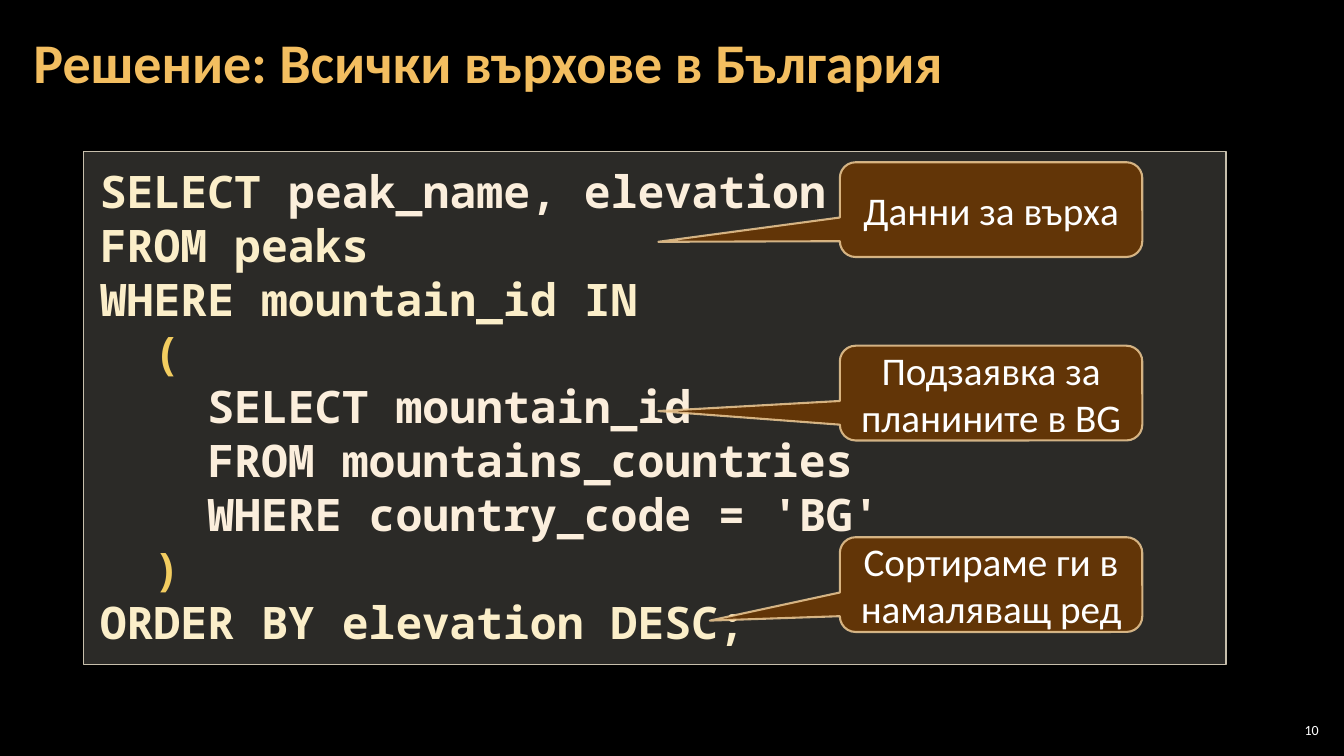
from dataclasses import dataclass

from lxml import etree
from pptx import Presentation
from pptx import util as u
from pptx.dml.color import RGBColor
from pptx.enum import shapes, text
from pptx.oxml import ns


@dataclass(frozen=True)
class Theme:
    """Colours, fonts and type sizes of the slide."""
    background: str = "000000"
    title: str = "F3BE60"
    white: str = "FFFFFF"
    panel: str = "D9D5C7"
    panel_line: str = "C7BFAC"
    callout: str = "663606"
    callout_line: str = "F8D49E"
    outer_code: str = "FBEEC9"
    inner_code: str = "FBEEDC"
    bracket: str = "F3CD60"
    body_font: str = "Calibri"
    code_font: str = "Noto Sans Mono"
    title_size: int = 40
    code_size: int = 32
    code_pitch: float = 38.5
    callout_size: int = 28
    number_size: int = 10


THEME = Theme()

CODE_LINES = [
    [("SELECT ", THEME.outer_code), ("peak_name, elevation", THEME.inner_code)],
    [("FROM peaks", THEME.outer_code)],
    [("WHERE mountain_id IN", THEME.outer_code)],
    [("  (", THEME.bracket)],
    [("    SELECT mountain_id", THEME.inner_code)],
    [("    FROM mountains_countries", THEME.inner_code)],
    [("    WHERE country_code = 'BG'", THEME.inner_code)],
    [("  )", THEME.bracket)],
    [("ORDER BY elevation DESC;", THEME.outer_code)],
]

CALLOUTS = [
    ("Подзаявка за планините в BG", 3.43, (-1.1, 0.19)),
    ("Данни за върха", 1.61, (-1.1, 0.34)),
    ("Сортираме ги в намаляващ ред", 5.33, (-0.93, 0.38)),
]


def set_alpha(color_format, percent):
    """Make a solid colour partly transparent."""
    color = color_format._xFill.find(ns.qn("a:srgbClr"))
    etree.SubElement(color, ns.qn("a:alpha"), val=str(percent * 1000))


def paint(shape, fill, fill_alpha, line, width, line_alpha=100):
    """Give a shape its fill and outline, without a shadow."""
    shape.shadow.inherit = False
    for target, color, alpha in ((shape.fill, fill, fill_alpha),
                                 (shape.line.fill, line, line_alpha)):
        target.solid()
        target.fore_color.rgb = RGBColor.from_string(color)
        if alpha < 100:
            set_alpha(target._fill, alpha) if hasattr(target._fill, "_xFill") else \
                etree.SubElement(target._xPr.find(".//" + ns.qn("a:srgbClr")),
                                 ns.qn("a:alpha"), val=str(alpha * 1000))
    shape.line.width = u.Pt(width)


def write(shape, lines, *, size, font=THEME.body_font, bold=False,
          align=text.PP_ALIGN.LEFT, anchor=text.MSO_ANCHOR.MIDDLE,
          insets=(0.1, 0.05), spacing=None):
    """Fill a shape with lines, each a list of (words, colour) runs."""
    frame = shape.text_frame
    frame.word_wrap = True
    frame.vertical_anchor = anchor
    frame.margin_left = frame.margin_right = u.Inches(insets[0])
    frame.margin_top = frame.margin_bottom = u.Inches(insets[1])
    for index, runs in enumerate(lines):
        paragraph = frame.add_paragraph() if index else frame.paragraphs[0]
        paragraph.alignment = align
        paragraph.line_spacing = spacing
        for words, color in runs:
            run = paragraph.add_run()
            run.text = words
            run.font.name = font
            run.font.size = u.Pt(size)
            run.font.bold = bold
            run.font.color.rgb = RGBColor.from_string(color)


def add_title(slide, box):
    """Place the slide title."""
    title = slide.shapes.add_textbox(*map(u.Inches, box))
    write(title, [[("Решение: Всички върхове в България", THEME.title)]],
          size=THEME.title_size, bold=True, insets=(0.12, 0.04), spacing=0.9)


def add_code_panel(slide, box):
    """Place the query on its translucent panel."""
    panel = slide.shapes.add_shape(shapes.MSO_SHAPE.RECTANGLE, *map(u.Inches, box))
    paint(panel, THEME.panel, 20, THEME.panel_line, 1)
    write(panel, CODE_LINES, size=THEME.code_size, font=THEME.code_font, bold=True,
          anchor=text.MSO_ANCHOR.TOP, insets=(0.16, 0.12),
          spacing=u.Pt(THEME.code_pitch))


def add_callout(slide, box, words, tip):
    """Place one speech bubble whose tip is relative to its size."""
    callout = slide.shapes.add_shape(
        shapes.MSO_SHAPE.ROUNDED_RECTANGULAR_CALLOUT, *map(u.Inches, box))
    callout.adjustments[0], callout.adjustments[1] = tip
    paint(callout, THEME.callout, 95, THEME.callout_line, 1.5, 80)
    write(callout, [[(words, THEME.white)]], size=THEME.callout_size,
          align=text.PP_ALIGN.CENTER)


def add_slide_number(slide, box):
    """Place the slide number."""
    number = slide.shapes.add_textbox(*map(u.Inches, box))
    write(number, [[("10", THEME.white)]], size=THEME.number_size,
          align=text.PP_ALIGN.RIGHT, insets=(0.04, 0.04))


def main():
    """Build and save the slide."""
    presentation = Presentation()
    presentation.slide_width = u.Inches(13.33)
    presentation.slide_height = u.Inches(7.5)
    slide = presentation.slides.add_slide(presentation.slide_layouts[6])
    slide.background.fill.solid()
    slide.background.fill.fore_color.rgb = RGBColor.from_string(THEME.background)
    add_code_panel(slide, (0.83, 1.5, 11.33, 5.09))
    add_title(slide, (0.21, 0.04, 12.91, 1.21))
    for words, top, tip in CALLOUTS:
        add_callout(slide, (8.33, top, 3, 0.94), words, tip)
    add_slide_number(slide, (12.65, 7.14, 0.47, 0.21))
    presentation.save("out.pptx")


if __name__ == "__main__":
    main()
